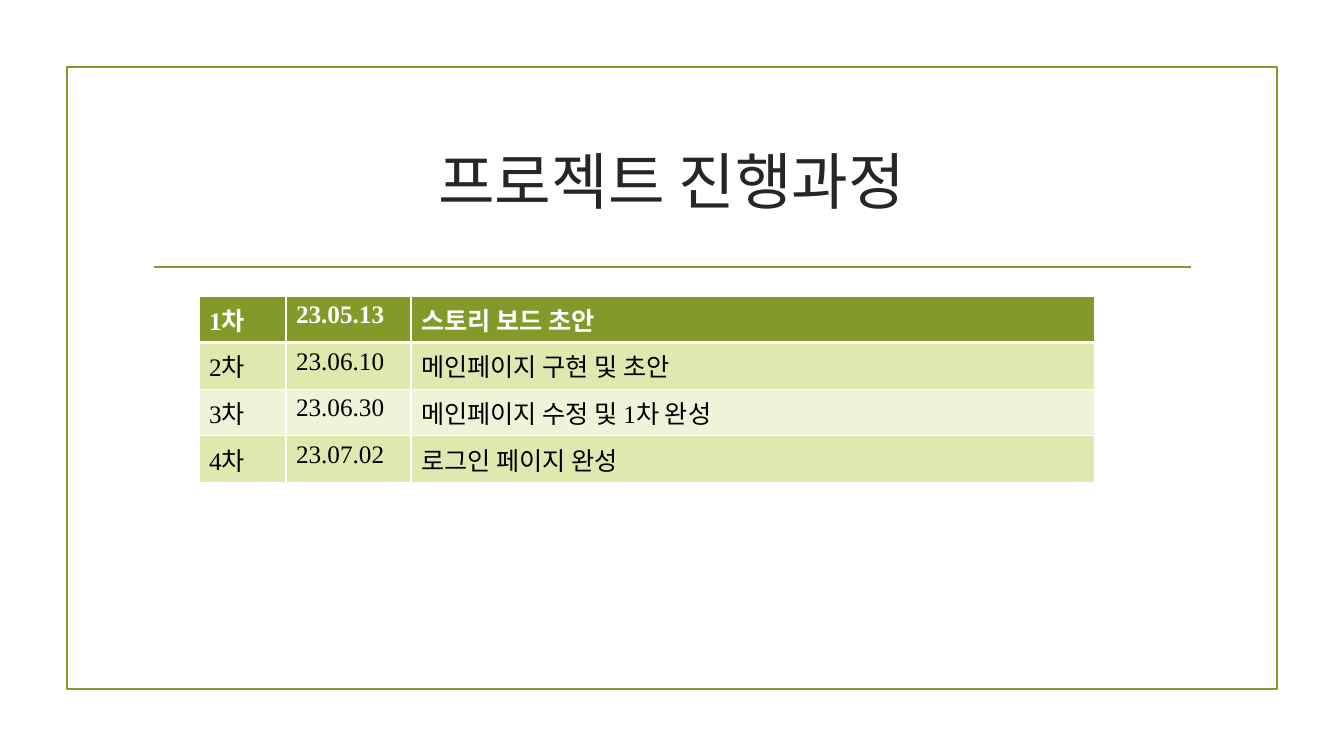
from lxml import etree
from pptx import Presentation
from pptx import util as u
from pptx.dml.color import RGBColor
from pptx.enum import shapes, text
from pptx.oxml import ns

SCALE = 914400 / 100.8
FONT = "Times New Roman"
COLORS = {
    "olive": "83992A",
    "title": "262626",
    "white": "FFFFFF",
    "black": "000000",
    "band_dark": "DEE9AF",
    "band_light": "EEF4D7",
}
SCHEDULE = [
    ("1차", "23.05.13", "스토리 보드 초안"),
    ("2차", "23.06.10", "메인페이지 구현 및 초안"),
    ("3차", "23.06.30", "메인페이지 수정 및 1차 완성"),
    ("4차", "23.07.02", "로그인 페이지 완성"),
]


def px(n):
    return u.Emu(round(n * SCALE))


def rgb(name):
    return RGBColor.from_string(COLORS[name])


class Deck:
    def __init__(self, width, height):
        self.prs = Presentation()
        self.prs.slide_width, self.prs.slide_height = px(width), px(height)
        self.s = self.prs.slides.add_slide(self.prs.slide_layouts[5])

    def outline(self, sp):
        sp.line.color.rgb = rgb("olive")
        sp.line.width = u.Pt(1.25)

    def style(self, p, size, color, bold=False):
        for r in p.runs:
            r.font.name = FONT
            r.font.size = u.Pt(size)
            r.font.bold = bold
            r.font.color.rgb = rgb(color)

    def frame(self, *box):
        sp = self.s.shapes.add_shape(shapes.MSO_SHAPE.RECTANGLE, *map(px, box))
        sp.shadow.inherit = False
        sp.fill.background()
        self.outline(sp)

    def rule(self, x1, x2, y):
        sp = self.s.shapes.add_connector(
            shapes.MSO_CONNECTOR.STRAIGHT, px(x1), px(y), px(x2), px(y))
        self.outline(sp)
        etree.SubElement(sp.element.spPr, ns.qn("a:effectLst"))

    def title(self, words, *box):
        sp = self.s.shapes.title
        sp.left, sp.top, sp.width, sp.height = map(px, box)
        tf = sp.text_frame
        tf.text = words
        tf.vertical_anchor = text.MSO_ANCHOR.MIDDLE
        p = tf.paragraphs[0]
        p.alignment = text.PP_ALIGN.CENTER
        self.style(p, 44, "title")

    def borders(self, cell, header, below_header):
        tc_pr = cell._tc.get_or_add_tcPr()
        widths = {"L": 1, "R": 1, "T": 3 if below_header else 1, "B": 3 if header else 1}
        for side, width in widths.items():
            ln = etree.SubElement(tc_pr, ns.qn(f"a:ln{side}"), w=str(u.Pt(width)))
            fill = etree.SubElement(ln, ns.qn("a:solidFill"))
            etree.SubElement(fill, ns.qn("a:srgbClr"), val=COLORS["white"])

    def table(self, rows, left, top, widths, row_height):
        table = self.s.shapes.add_table(
            len(rows), len(widths), px(left), px(top),
            px(sum(widths)), px(row_height * len(rows))).table
        for column, width in zip(table.columns, widths):
            column.width = px(width)
        for i, row in enumerate(rows):
            header = i == 0
            band = "olive" if header else "band_dark" if i % 2 else "band_light"
            for j, words in enumerate(row):
                cell = table.cell(i, j)
                self.borders(cell, header, i == 1)
                cell.fill.solid()
                cell.fill.fore_color.rgb = rgb(band)
                cell.text_frame.text = words
                self.style(cell.text_frame.paragraphs[0], 18,
                           "white" if header else "black", header)


def main():
    deck = Deck(1344, 756)
    deck.frame(67, 67, 1210, 622)
    deck.rule(154, 1191, 267)
    deck.title("프로젝트 진행과정", 143, 108, 1058, 144)
    deck.table(SCHEDULE, 199, 296, (87, 125, 684), 46)
    deck.prs.save("out.pptx")


if __name__ == "__main__":
    main()
